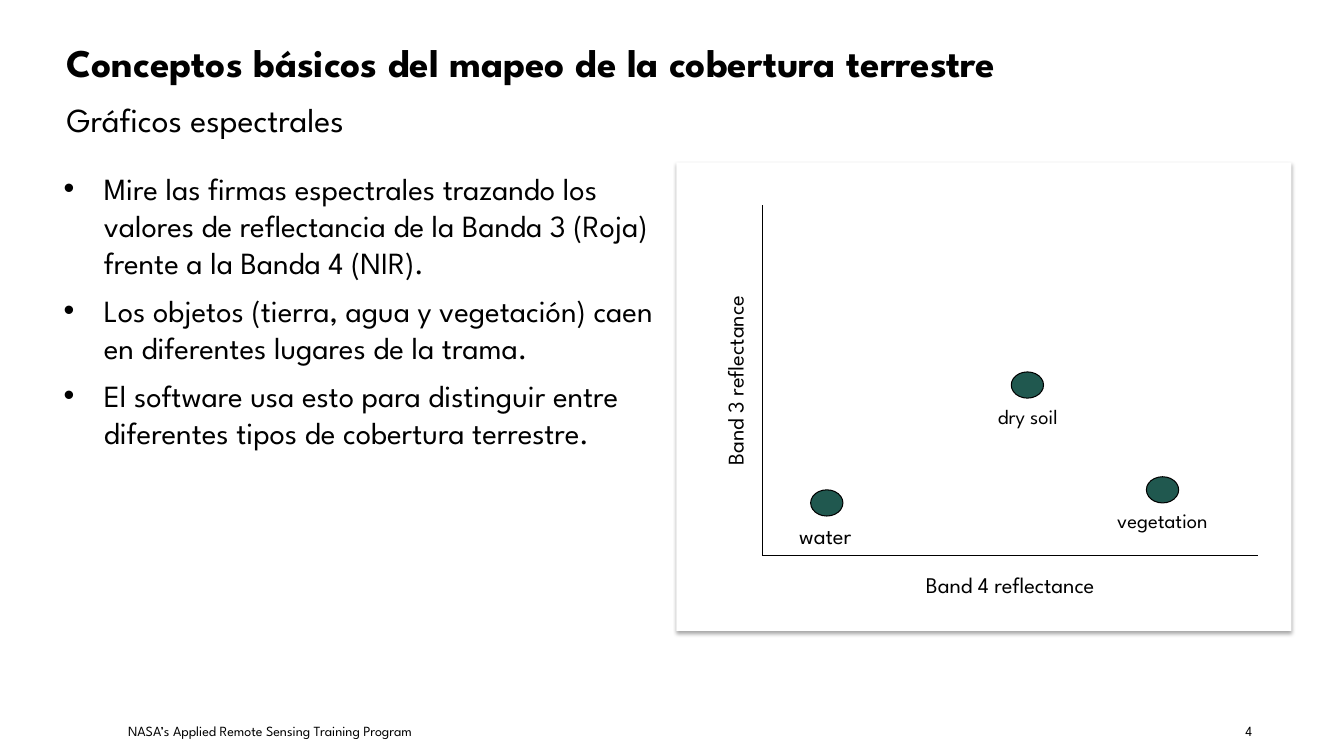
from lxml import etree
from pptx import Presentation
from pptx.dml.color import RGBColor
from pptx.enum.shapes import MSO_CONNECTOR, MSO_SHAPE
from pptx.enum.text import MSO_ANCHOR, MSO_AUTO_SIZE, PP_ALIGN
from pptx.oxml.ns import qn
from pptx.util import Inches, Pt

LEFT, CENTER, RIGHT = PP_ALIGN.LEFT, PP_ALIGN.CENTER, PP_ALIGN.RIGHT
TOP, MIDDLE = MSO_ANCHOR.TOP, MSO_ANCHOR.MIDDLE
FIXED = MSO_AUTO_SIZE.NONE
RECTANGLE, OVAL = MSO_SHAPE.RECTANGLE, MSO_SHAPE.OVAL
STRAIGHT = MSO_CONNECTOR.STRAIGHT

FONT = "League Spartan"
COLORS = {"ink": "000000", "paper": "FFFFFF", "marker": "20584F"}
RGB = {name: RGBColor.from_string(value) for name, value in COLORS.items()}

# Page grid, in inches
MARGIN, CONTENT_TOP = 0.53, 1.61
FULL_WIDTH, COLUMN_WIDTH, COLUMN_HEIGHT = 12.28, 6.1, 4.65
PANEL_LEFT = MARGIN + FULL_WIDTH - COLUMN_WIDTH


def place(shape, left, top, width, height, anchor=TOP, insets=(0.13, 0.07), wrap=True):
    """Position a text shape and set up its frame."""
    shape.left, shape.top = Inches(left), Inches(top)
    shape.width, shape.height = Inches(width), Inches(height)
    frame = shape.text_frame
    frame.auto_size = FIXED
    frame.word_wrap = wrap
    frame.vertical_anchor = anchor
    frame.margin_left = frame.margin_right = Inches(insets[0])
    frame.margin_top = frame.margin_bottom = Inches(insets[1])
    return frame


def write(paragraph, text, size, align=LEFT, bold=False):
    paragraph.alignment = align
    paragraph.space_before = Pt(0)
    run = paragraph.add_run()
    run.text = text
    run.font.name = FONT
    run.font.size = Pt(size)
    run.font.bold = bold
    run.font.color.rgb = RGB["ink"]


presentation = Presentation()
presentation.slide_width = Inches(13.33)
presentation.slide_height = Inches(7.5)
slide = presentation.slides.add_slide(presentation.slide_layouts[3])
shapes = slide.shapes
title, body, subtitle = slide.placeholders

# Title and subtitle
frame = place(title, MARGIN, 0.3, FULL_WIDTH, 0.63, MIDDLE)
write(frame.paragraphs[0], "Conceptos básicos del mapeo de la cobertura terrestre", 28, bold=True)

frame = place(subtitle, MARGIN, 0.93, FULL_WIDTH, 0.51, MIDDLE)
paragraph = frame.paragraphs[0]
properties = paragraph._p.get_or_add_pPr()
properties.set("marL", "0")
properties.set("indent", "0")
etree.SubElement(properties, qn("a:buNone"))
write(paragraph, "Gráficos espectrales", 24)

# Bulleted list
bullets = [
    "Mire las firmas espectrales trazando los valores de reflectancia "
    "de la Banda 3 (Roja) frente a la Banda 4 (NIR).",
    "Los objetos (tierra, agua y vegetación) caen en diferentes lugares de la trama.",
    "El software usa esto para distinguir entre diferentes tipos de cobertura terrestre.",
]
frame = place(body, MARGIN, CONTENT_TOP, COLUMN_WIDTH, COLUMN_HEIGHT)
frame.margin_left = 0
for index, text in enumerate(bullets):
    paragraph = frame.add_paragraph() if index else frame.paragraphs[0]
    properties = paragraph._p.get_or_add_pPr()
    properties.set("marL", str(Inches(0.5)))
    properties.set("indent", str(Inches(-0.4)))
    bullet_color = etree.SubElement(properties, qn("a:buClr"))
    etree.SubElement(bullet_color, qn("a:srgbClr"), val=COLORS["ink"])
    etree.SubElement(properties, qn("a:buFont"), typeface="Arial")
    etree.SubElement(properties, qn("a:buChar"), char="•")
    write(paragraph, text, 22)
    if index:
        paragraph.space_before = Pt(8)

# Plot panel with a soft shadow below
panel = shapes.add_shape(RECTANGLE, Inches(PANEL_LEFT), Inches(CONTENT_TOP),
                         Inches(COLUMN_WIDTH), Inches(COLUMN_HEIGHT))
panel.fill.solid()
panel.fill.fore_color.rgb = RGB["paper"]
panel.line.fill.background()
panel.shadow.inherit = False
effects = panel._element.spPr.find(qn("a:effectLst"))
shadow = etree.SubElement(effects, qn("a:outerShdw"), blurRad=str(Pt(3.1)), dist=str(Pt(1.8)),
                          dir="5400000", algn="t", rotWithShape="0")
shadow_color = etree.SubElement(shadow, qn("a:srgbClr"), val=COLORS["ink"])
etree.SubElement(shadow_color, qn("a:alpha"), val="35000")

# Axes, both starting at the origin
origin_x, origin_y = 7.56, 5.51
for end_x, end_y in [(origin_x, 2.03), (12.48, origin_y)]:
    axis = shapes.add_connector(STRAIGHT, Inches(origin_x), Inches(origin_y),
                                Inches(end_x), Inches(end_y))
    axis.line.color.rgb = RGB["ink"]
    axis.line.width = Pt(0.75)
    etree.SubElement(axis._element.spPr, qn("a:effectLst"))

# Markers: left and top
marker_width, marker_height = 0.32, 0.26
for left, top in [(8.04, 4.86), (10.03, 3.69), (11.37, 4.73)]:
    marker = shapes.add_shape(OVAL, Inches(left), Inches(top),
                              Inches(marker_width), Inches(marker_height))
    marker.fill.solid()
    marker.fill.fore_color.rgb = RGB["marker"]
    marker.line.color.rgb = RGB["ink"]
    marker.line.width = Pt(0.75)
    marker.shadow.inherit = False

# Plot labels: text, box, size, rotation
labels = [
    ("Band 4 reflectance", (8.31, 5.62, 3.42, 0.37), 16, 0),
    ("Band 3 reflectance", (6.14, 3.59, 2.3, 0.37), 16, 270),
    ("water", (7.77, 5.13, 0.83, 0.37), 16, 0),
    ("dry soil", (9.76, 3.96, 0.87, 0.35), 14.7, 0),
    ("vegetation", (10.88, 4.99, 1.3, 0.35), 14.7, 0),
]
for text, box, size, rotation in labels:
    label = shapes.add_textbox(0, 0, 0, 0)
    frame = place(label, *box, insets=(0.1, 0.05), wrap=False)
    label.rotation = rotation
    write(frame.paragraphs[0], text, size, CENTER)

# Footer and slide number
footers = [
    ("NASA’s Applied Remote Sensing Training Program", 1.14, 4.29, LEFT),
    ("4", 11.79, 0.76, RIGHT),
]
for text, left, width, align in footers:
    frame = place(shapes.add_textbox(0, 0, 0, 0), left, 7.1, width, 0.3)
    write(frame.paragraphs[0], text, 10, align)

presentation.save("out.pptx")
